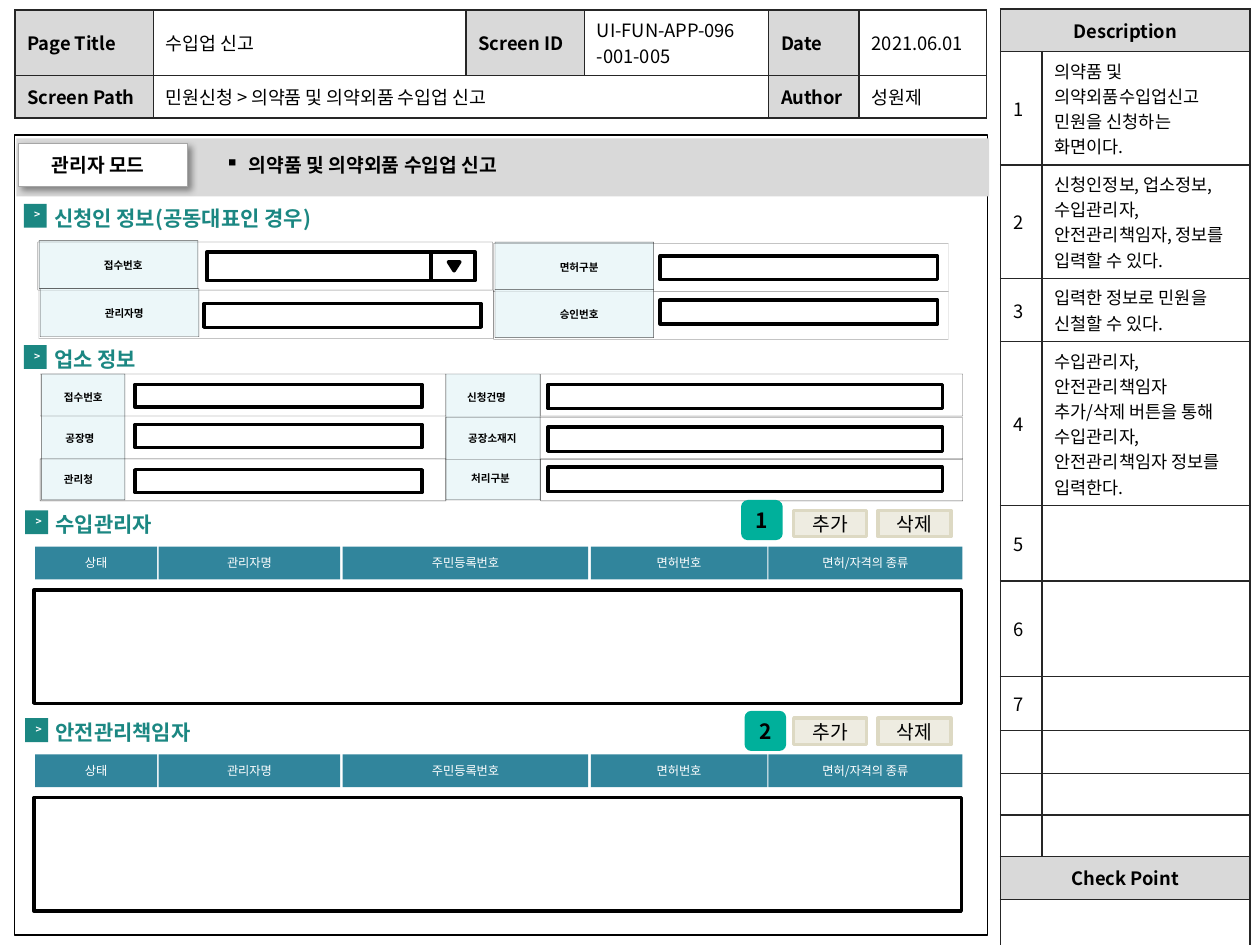
"""Build the import business report screen specification slide."""
import lxml.etree
import pptx
import pptx.dml.color
import pptx.enum.shapes
import pptx.enum.text
import pptx.oxml.ns
import pptx.util

Cm = pptx.util.Cm
Pt = pptx.util.Pt
RGBColor = pptx.dml.color.RGBColor
SHAPE = pptx.enum.shapes.MSO_SHAPE
ALIGN = pptx.enum.text.PP_ALIGN
MIDDLE = pptx.enum.text.MSO_ANCHOR.MIDDLE
qn = pptx.oxml.ns.qn
add_xml = lxml.etree.SubElement

FONT = "Noto Sans CJK KR"
BLACK = RGBColor(0x00, 0x00, 0x00)
WHITE = RGBColor(0xFF, 0xFF, 0xFF)
GRAY = RGBColor(0xD9, 0xD9, 0xD9)
EDGE = RGBColor(0xA6, 0xA6, 0xA6)
BORDER = RGBColor(0x26, 0x26, 0x26)
PALE = RGBColor(0xEC, 0xF7, 0xF9)
GREEN = RGBColor(0x1B, 0x87, 0x82)
BLUE = RGBColor(0x31, 0x85, 0x9C)
BEIGE = RGBColor(0xEE, 0xEC, 0xE1)
TAN = RGBColor(0xDD, 0xD9, 0xC3)
MINT = RGBColor(0x00, 0xB0, 0x9B)


def put(left, top, width, height, fill=None, line=None, weight=0, kind=SHAPE.RECTANGLE):
    area = Cm(left), Cm(top), Cm(width), Cm(height)
    if kind is None:
        label = slide.shapes.add_textbox(*area)
        label.text_frame.word_wrap = True
        label.text_frame.auto_size = pptx.enum.text.MSO_AUTO_SIZE.SHAPE_TO_FIT_TEXT
        return label
    box = slide.shapes.add_shape(kind, *area)
    box.shadow.inherit = False
    if fill is None:
        box.fill.background()
    else:
        box.fill.solid()
        box.fill.fore_color.rgb = fill
    if line is None:
        box.line.fill.background()
    else:
        box.line.color.rgb = line
        box.line.width = Pt(weight)
        if weight < 0.5:
            shade = box.line._ln.find(".//" + qn("a:srgbClr"))
            add_xml(shade, qn("a:alpha"), val="65000")
    return box


def write(holder, text, size, color=BLACK, bold=False, align=ALIGN.LEFT, bullet=None):
    holder.text_frame.text = text
    for paragraph in holder.text_frame.paragraphs:
        paragraph.alignment = align
        if bullet:
            properties = paragraph._p.get_or_add_pPr()
            properties.set("marL", str(Cm(0.48)))
            properties.set("indent", str(-Cm(0.48)))
            add_xml(properties, qn("a:buChar"), char=bullet)
        font = paragraph.font
        font.size = Pt(size)
        font.bold = bold
        font.name = FONT
        font.color.rgb = color
        add_xml(paragraph._p.pPr.find(qn("a:defRPr")), qn("a:ea"), typeface=FONT)
        if not text:
            add_xml(paragraph._p, qn("a:endParaRPr"), sz=str(int(size * 100)))
    return holder.text_frame


deck = pptx.Presentation()
deck.slide_width, deck.slide_height = Cm(25.4), Cm(19.05)
slide = deck.slides.add_slide(deck.slide_layouts[6])

page_rows = [
    ["Page Title", "수입업 신고", "Screen ID", "UI-FUN-APP-096\n-001-005", "Date", "2021.06.01"],
    ["Screen Path", "민원신청 > 의약품 및 의약외품 수입업 신고", "", "", "Author", "성원제"],
]
description_rows = [
    ["Description", ""],
    ["1", "의약품 및 의약외품수입업신고 민원을 신청하는 화면이다."],
    ["2", "신청인정보, 업소정보, 수입관리자, 안전관리책임자, 정보를 입력할 수 있다."],
    ["3", "입력한 정보로 민원을 신철할 수 있다."],
    ["4", "수입관리자, 안전관리책임자 추가/삭제 버튼을 통해 수입관리자, 안전관리책임자 정보를 입력한다."],
    ["5", ""], ["6", ""], ["7", ""], ["", ""], ["", ""], ["", ""],
    ["Check Point", ""],
    ["", ""],
]
headings = {"Page Title", "Screen ID", "Date", "Screen Path", "Author"}
banners = {"Description", "Check Point"}
tables = [
    (0.3, 0.2, page_rows, [2.79, 6.3, 2.39, 3.71, 1.83, 2.57], [0.86, 0.86], [(1, 1, 3)]),
    (20.17, 0.18, description_rows, [0.84, 4.19],
     [0.86, 1.52, 1.93, 1.09, 2.36, 1.52, 1.93, 1.09, 0.86, 0.84, 0.84, 0.86, 2.95],
     [(0, 0, 1), (11, 0, 1), (12, 0, 1)]),
]
for left, top, rows, widths, heights, spans in tables:
    table = slide.shapes.add_table(len(rows), len(widths), Cm(left), Cm(top),
                                   Cm(sum(widths)), Cm(sum(heights))).table
    table.first_row = table.horz_banding = False
    for column, width in zip(table.columns, widths):
        column.width = Cm(width)
    for r, (texts, height) in enumerate(zip(rows, heights)):
        table.rows[r].height = Cm(height)
        for c, text in enumerate(texts):
            cell = table.cell(r, c)
            cell.vertical_anchor = MIDDLE
            for side in ("a:lnL", "a:lnR", "a:lnT", "a:lnB"):
                edge = add_xml(cell._tc.get_or_add_tcPr(), qn(side), w=str(Pt(1)))
                add_xml(add_xml(edge, qn("a:solidFill")), qn("a:srgbClr"), val=str(BORDER))
            shaded = text in headings | banners
            if shaded:
                cell.fill.solid()
                cell.fill.fore_color.rgb = GRAY
            else:
                cell.fill.background()
            size = 10 if rows is description_rows and c == 1 and text else 10.5
            write(cell, text, size, bold=shaded,
                  align=ALIGN.CENTER if text in banners else ALIGN.LEFT)
    for r, first, last in spans:
        table.cell(r, first).merge(table.cell(r, last))

put(0.3, 2.72, 19.61, 16.13, line=BLACK, weight=0.75)
put(0.33, 2.79, 19.61, 1.17, GRAY)
write(put(4.29, 2.97, 7.01, 0.74, kind=None), "의약품 및 의약외품 수입업 신고", 11, bold=True, bullet="▪")
mode = put(0.38, 2.9, 3.4, 0.86, WHITE, EDGE, 0.75)
shadow = add_xml(mode._element.spPr.find(qn("a:effectLst")), qn("a:outerShdw"),
                 blurRad=str(Pt(4)), dist=str(Pt(3)), dir="2700000", algn="tl", rotWithShape="0")
add_xml(add_xml(shadow, qn("a:srgbClr"), val=str(BLACK)), qn("a:alpha"), val="40000")
write(put(0.79, 2.97, 2.59, 0.74, kind=None), "관리자 모드", 11, bold=True)

for left, top, label in [(0.79, 4.85, "접수번호"), (9.98, 4.88, "면허구분"),
                         (0.81, 5.82, "관리자명"), (9.98, 5.84, "승인번호")]:
    put(left, top, 3.2, 0.97, PALE, BLACK, 0.25)
    write(put(left + 0.41, top + 0.25, 2.57, 0.51, kind=None), label, 6, bold=True, align=ALIGN.CENTER)
    put(left - 0.03, top + 0.03, 9.17, 0.97, line=BLACK, weight=0.1)

for left, width in [(8.99, 1.9), (0.84, 1.68)]:
    put(left, 7.54, width, 2.54, PALE, BLACK, 0.25)
for left, top, width, weight in [(0.81, 7.54, 8.18, 0.1), (0.81, 9.25, 8.18, 0.25), (8.99, 8.41, 10.41, 0.25),
                                 (10.9, 9.25, 8.51, 0.25), (10.9, 7.54, 8.51, 0.1)]:
    put(left, top, width, 0.85, line=BLACK, weight=weight)
for left, top, width, label in [(1.04, 7.75, 1.37, "접수번호"), (1.07, 8.59, 1.78, "공장명"),
                                (1.04, 9.42, 1.14, "관리청"), (9.17, 7.75, 1.37, "신청건명"),
                                (9.19, 8.59, 1.57, "공장소재지"), (9.25, 9.4, 1.37, "처리구분")]:
    write(put(left, top, width, 0.51, kind=None), label, 6, bold=True)

fields = [(4.17, 5.08, 4.52, 0.58), (8.69, 5.08, 0.89, 0.58), (4.11, 6.12, 5.59, 0.48),
          (13.31, 5.16, 5.59, 0.48), (13.31, 6.05, 5.59, 0.48)]
fields += [(2.72, top, 5.79, 0.46) for top in (7.75, 8.56, 9.47)]
fields += [(11.05, top, 7.95, 0.49) for top in (7.75, 8.61, 9.42)]
for field in fields:
    put(*field, line=BLACK, weight=2)
put(9.04, 5.28, 0.23, 0.18, BLACK, BLACK, 2, SHAPE.FLOWCHART_MERGE)

for left, top, title in [(0.48, 4.11, "신청인 정보(공동대표인 경우)"), (0.48, 6.96, "업소 정보"),
                         (0.51, 10.29, "수입관리자"), (0.51, 14.48, "안전관리책임자")]:
    badge = write(put(left, top, 0.46, 0.48, GREEN), ">", 6, WHITE, True, ALIGN.CENTER)
    badge.margin_top = Cm(0.08)
    write(put(left + 0.36, top - 0.1, 8.28, 0.76, kind=None), title, 12, GREEN, True)

list_columns = [(0.71, 2.46, "상태"), (3.2, 3.66, "관리자명"), (6.91, 4.95, "주민등록번호"),
                (11.91, 3.56, "면허번호"), (15.49, 3.91, "면허/자격의 종류")]
for top, step_left, step_top, step in [(10.29, 14.94, 10.08, "1"), (14.48, 15.01, 14.33, "2")]:
    for left, width, name in list_columns:
        header = write(put(left, top + 0.73, width, 0.66, BLUE), name, 7, WHITE, align=ALIGN.CENTER)
        header.margin_left = header.margin_right = 0
    put(0.69, top + 1.6, 18.69, 2.29, WHITE, BLACK, 2)
    for left, action in [(17.7, "삭제"), (16, "추가")]:
        write(put(left, top, 1.47, 0.53, BEIGE, TAN, 2), action, 11, align=ALIGN.CENTER)
    marker = put(step_left, step_top, 0.84, 0.81, MINT, kind=SHAPE.ROUNDED_RECTANGLE)
    write(marker, step, 12, bold=True, align=ALIGN.CENTER)

deck.save("out.pptx")
